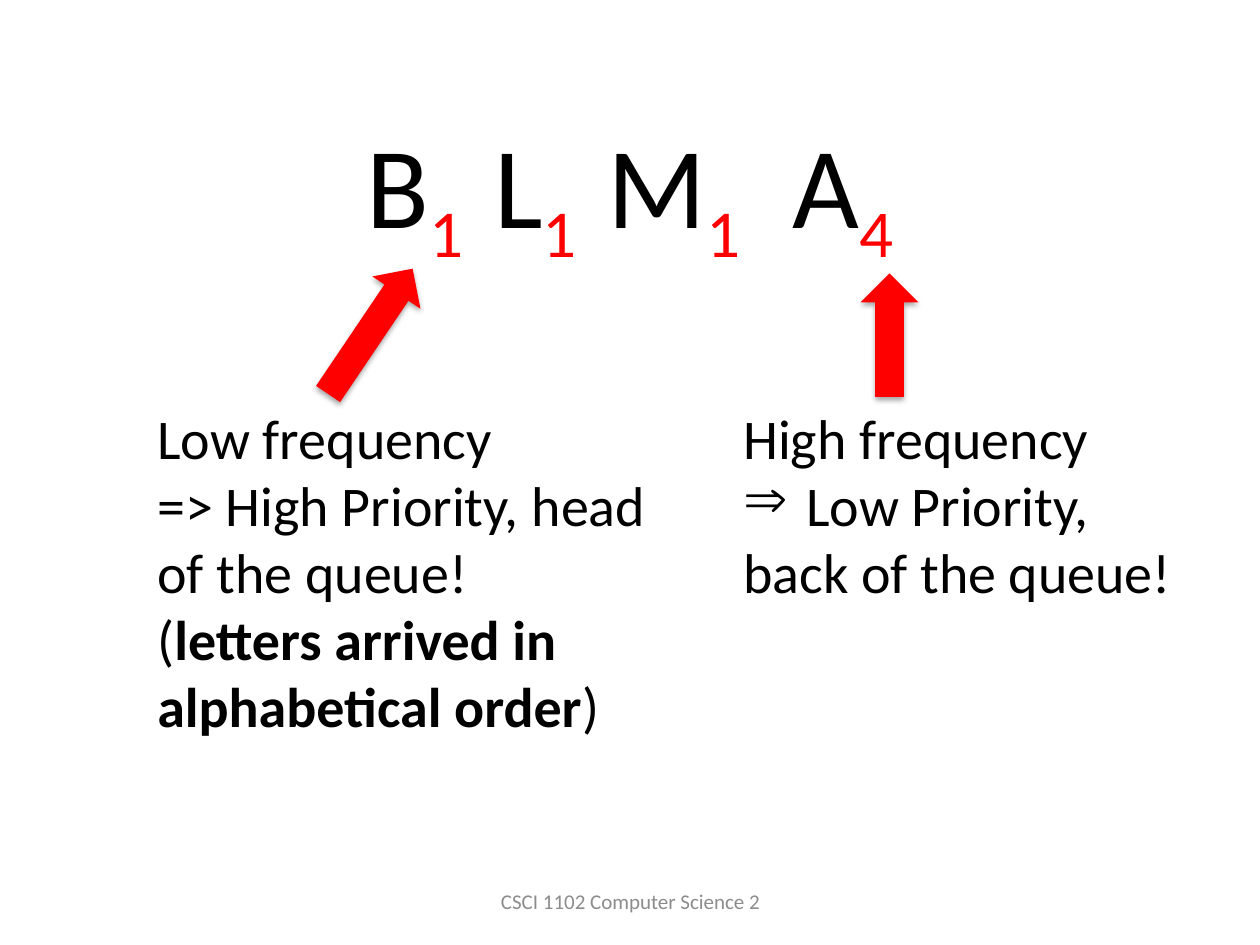
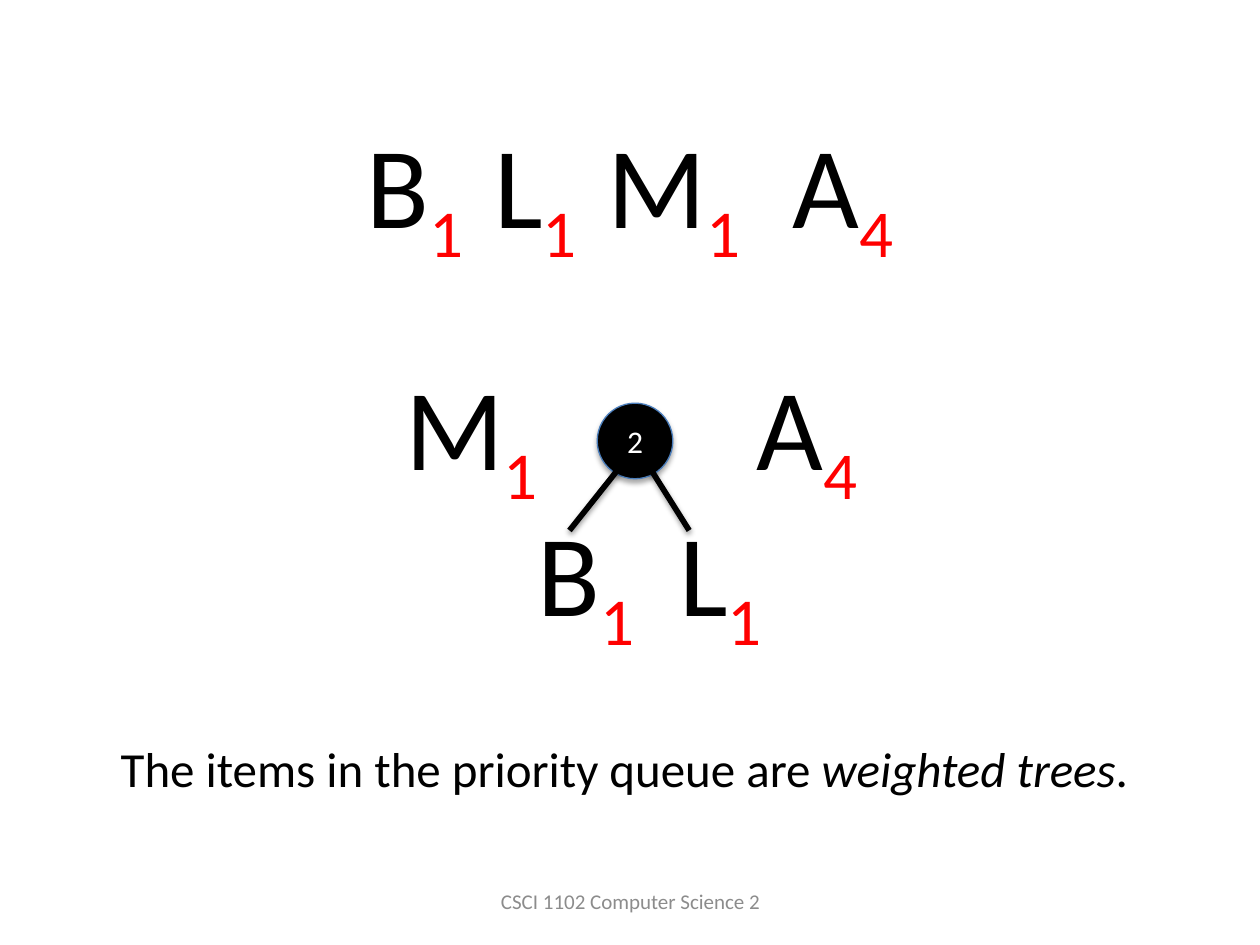
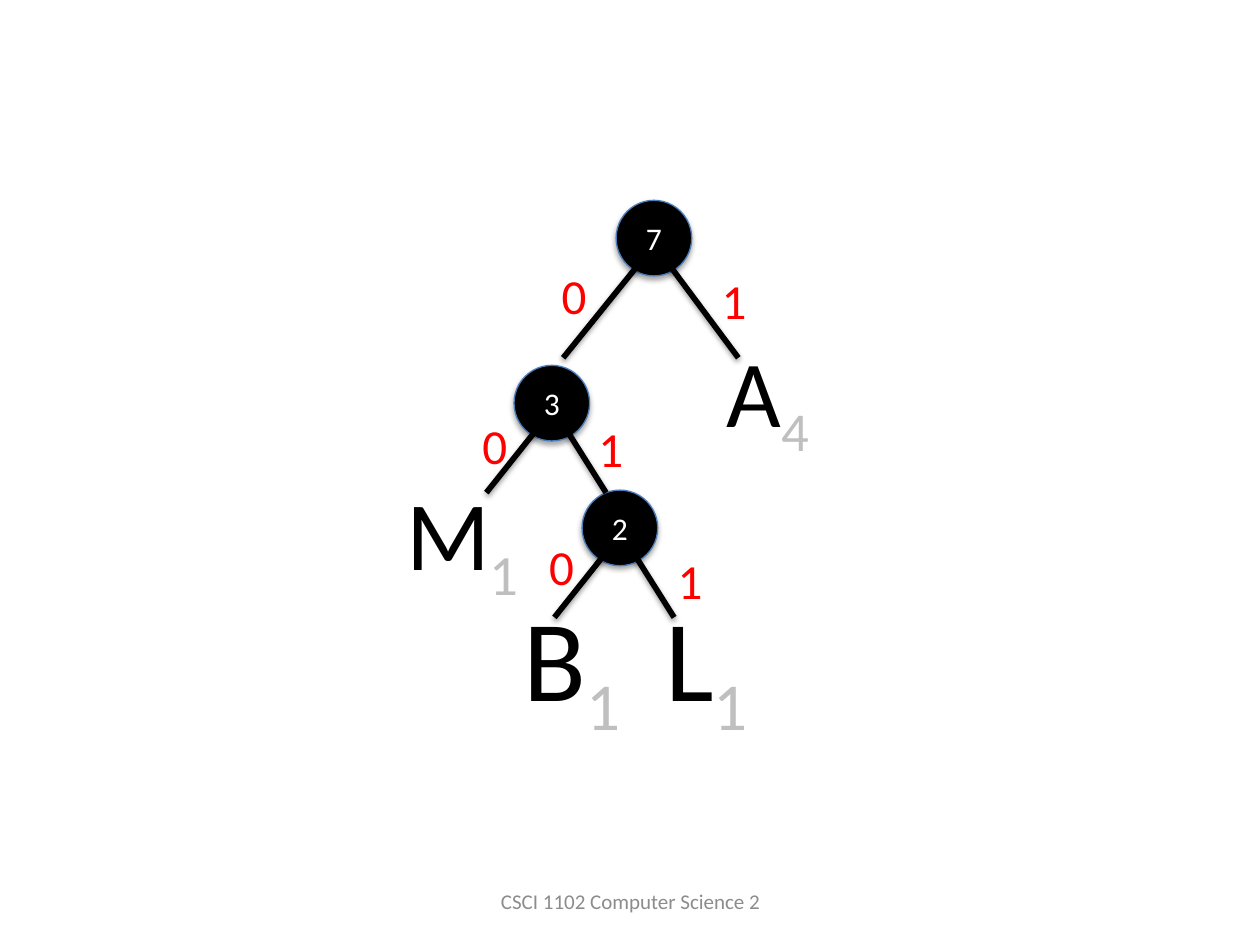
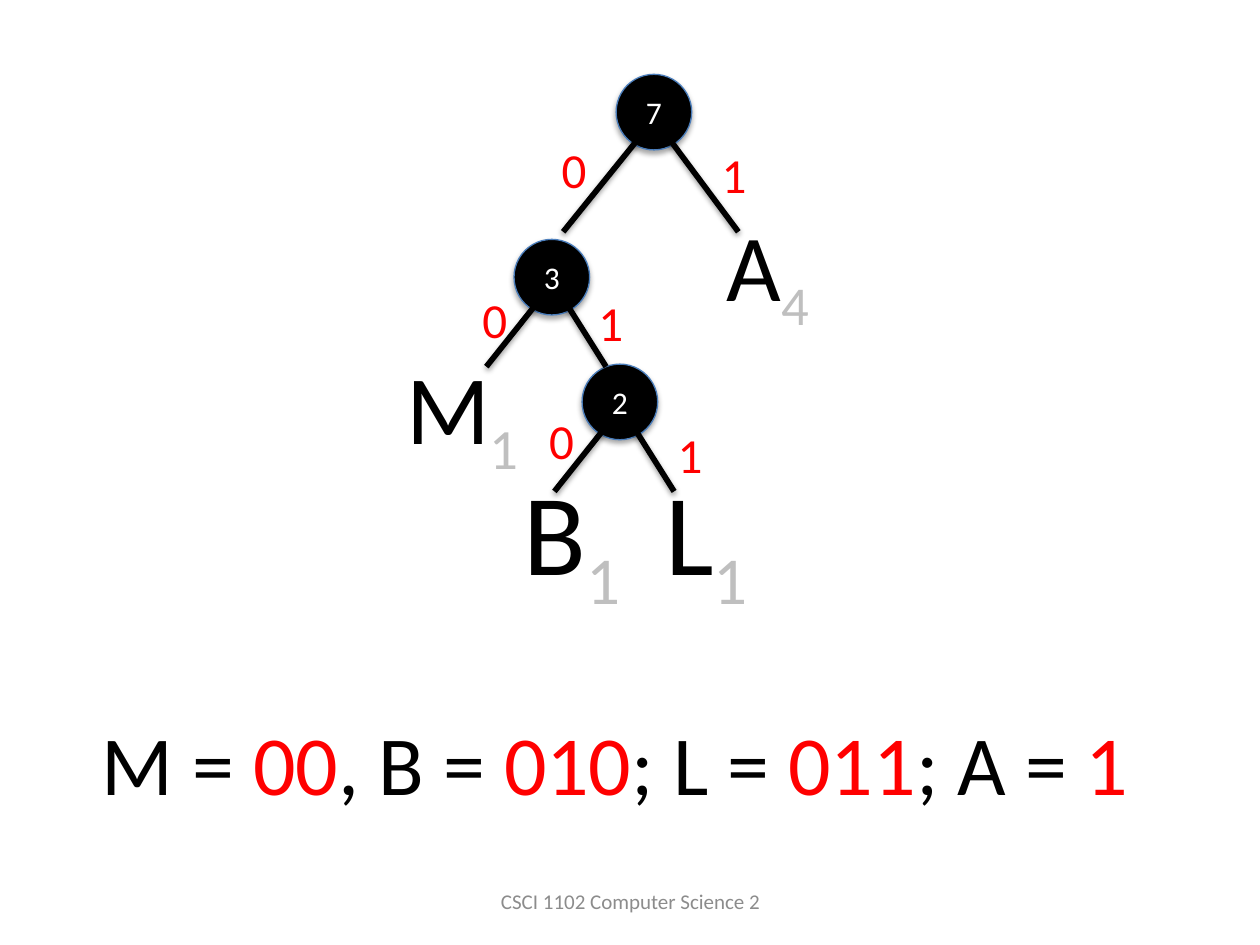
from lxml import etree
from pptx import Presentation
from pptx.dml.color import RGBColor
from pptx.enum.shapes import MSO_CONNECTOR, MSO_SHAPE
from pptx.enum.text import MSO_ANCHOR, MSO_AUTO_SIZE, PP_ALIGN
from pptx.oxml import parse_xml
from pptx.oxml.ns import nsdecls, qn
from pptx.util import Emu, Pt

PX = 9144  # 100 px to the inch
FONT = "Calibri"
COLORS = {
    "black": "000000",
    "white": "FFFFFF",
    "red": "FF0000",
    "silver": "BFBFBF",
    "footer": "8C8C8C",
    "outline": "4B7EBC",
}
LEFT, CENTER = PP_ALIGN.LEFT, PP_ALIGN.CENTER
TOP, MIDDLE = MSO_ANCHOR.TOP, MSO_ANCHOR.MIDDLE
FIT, FIXED = MSO_AUTO_SIZE.SHAPE_TO_FIT_TEXT, MSO_AUTO_SIZE.NONE
OVAL, UP_ARROW = MSO_SHAPE.OVAL, MSO_SHAPE.UP_ARROW
STRAIGHT = MSO_CONNECTOR.STRAIGHT
TITLE_ONLY, BLANK = 5, 6
TITLE_AREA = (50, 90, 900, 125)
NODE_SIZE = 60
SUBSCRIPT = {"baseline": -25000}


def px(*lengths):
    return [Emu(length * PX) for length in lengths]


def rgb(color):
    return RGBColor.from_string(COLORS[color])


# --- Text ---

def run(text, color="black", xml=None, **formats):
    return {"text": text, "color": color, "xml": xml or {}, "formats": formats}


def weighted(letter, weight, color="red"):
    return [run(letter), run(str(weight), color, SUBSCRIPT)]


def gap(points, xml=None):
    """One space, widened by the given points."""
    return [run(" ", xml={**(xml or {}), "spc": points * 100})]


def write(frame, paragraphs, size, align=LEFT, anchor=TOP, fit=FIXED, wrap=True):
    settings = {"word_wrap": wrap, "auto_size": fit, "vertical_anchor": anchor}
    for name, value in settings.items():
        setattr(frame, name, value)
    for index, runs in enumerate(paragraphs):
        para = frame.add_paragraph() if index else frame.paragraphs[0]
        para.alignment = align
        for part in runs:
            span = para.add_run()
            span.text = part["text"]
            formats = {"name": FONT, "size": Pt(size), **part["formats"]}
            for name, value in formats.items():
                setattr(span.font, name, value)
            span.font.color.rgb = rgb(part["color"])
            for name, value in part["xml"].items():
                span._r.get_or_add_rPr().set(name, str(value))


def add_text(shapes, area, paragraphs, size, **layout):
    box = shapes.add_textbox(*px(*area))
    write(box.text_frame, paragraphs, size, **layout)
    return box


def set_bullet(para, symbol, indent):
    properties = para._p.get_or_add_pPr()
    properties.set("marL", str(indent * PX))
    properties.set("indent", str(-indent * PX))
    etree.SubElement(properties, qn("a:buChar")).set("char", symbol)


# --- Shapes ---

def add_shadow(shape, distance, alpha):
    shape.element.spPr.append(parse_xml(
        f'<a:effectLst {nsdecls("a")}>'
        f'<a:outerShdw blurRad="40000" dist="{distance}" dir="5400000" rotWithShape="0">'
        f'<a:srgbClr val="{COLORS["black"]}"><a:alpha val="{alpha * 1000}"/></a:srgbClr>'
        '</a:outerShdw></a:effectLst>'))


def add_solid(shapes, kind, area, fill, outline=None):
    shape = shapes.add_shape(kind, *px(*area))
    shape.fill.solid()
    shape.fill.fore_color.rgb = rgb(fill)
    if outline:
        shape.line.color.rgb = rgb(outline)
        shape.line.width = Pt(0.75)
    else:
        shape.line.fill.background()
    add_shadow(shape, 23000, 35)
    return shape


def add_branch(shapes, start, end):
    branch = shapes.add_connector(STRAIGHT, *px(*start, *end))
    branch.line.color.rgb = rgb("black")
    branch.line.width = Pt(3.25)
    add_shadow(branch, 20000, 38)


def add_node(shapes, left, top, weight, drop=101, reach=(-22, 73)):
    """A round node and its two branches, measured from the node's corner."""
    node = add_solid(shapes, OVAL, (left, top, NODE_SIZE, NODE_SIZE), "black", "outline")
    write(node.text_frame, [[run(str(weight), "white")]], 18, align=CENTER, anchor=MIDDLE)
    for (across, down), end in zip(((25, 42), (39, 47)), reach):
        add_branch(shapes, (left + across, top + down), (left + end, top + drop))


def add_leaves(shapes, area, runs, size=66):
    add_text(shapes, area, [runs], size, align=CENTER, anchor=MIDDLE)


def leaf_pair(color):
    return weighted("B", 1, color) + gap(17, SUBSCRIPT) + weighted("L", 1, color)


# --- Slide parts ---

def add_slide(deck, layout):
    slide = deck.slides.add_slide(deck.slide_layouts[layout])
    add_text(slide.shapes, (342, 695, 317, 40),
             [[run("CSCI 1102 Computer Science 2", "footer")]], 12,
             align=CENTER, anchor=MIDDLE)
    return slide


def add_queue_slide(deck):
    slide = add_slide(deck, TITLE_ONLY)
    title = slide.shapes.title
    title.left, title.top, title.width, title.height = px(*TITLE_AREA)
    queue = (weighted("B", 1) + gap(9, SUBSCRIPT) + weighted("L", 1)
             + gap(9, SUBSCRIPT) + weighted("M", 1) + gap(15) + weighted("A", 4))
    write(title.text_frame, [queue], 66, align=CENTER, anchor=MIDDLE)
    return slide


def add_code_tree(slide, top):
    shapes = slide.shapes.add_group_shape().shapes
    add_node(shapes, 462, top + 230, 2)
    add_leaves(shapes, (307, top + 207, 120, 125), weighted("M", 1, "silver"), 56)
    add_leaves(shapes, (364, top + 261, 281, 216), leaf_pair("silver"))
    add_node(shapes, 408, top + 131, 3)
    add_leaves(shapes, (516, top + 94, 187, 125), weighted("A", 4, "silver"), 54)
    add_node(shapes, 489, top, 7, drop=125, reach=(-42, 97))
    bits = [("0", 436, 47), ("1", 563, 51), ("0", 373, 166),
            ("0", 426, 262), ("1", 528, 273), ("1", 465, 168)]
    for bit, left, down in bits:
        add_text(shapes, (left, top + down, 40, 57), [[run(bit, "red")]], 28,
                 fit=FIT, wrap=False)


# --- Slides ---

def priority_slide(deck):
    shapes = add_queue_slide(deck).shapes
    add_text(shapes, (115, 315, 409, 279), [
        [run("Low frequency")],
        [run("=> High Priority, head of the queue!")],
        [run("("), run("letters arrived in", bold=True)],
        [run("alphabetical order", bold=True), run(")")],
    ], 32, fit=FIT)
    high = add_text(shapes, (580, 315, 364, 172), [
        [run("High frequency")],
        [run("Low Priority,")],
        [run("back of the queue!")],
    ], 32, fit=FIT, wrap=False)
    set_bullet(high.text_frame.paragraphs[1], "⇒", 50)
    head_arrow = add_solid(shapes, UP_ARROW, (271, 203, 46, 120), "red")
    head_arrow.rotation = 34
    add_solid(shapes, UP_ARROW, (683, 217, 46, 98), "red")


def weighted_trees_slide(deck):
    slide = add_queue_slide(deck)
    shapes = slide.shapes.add_group_shape().shapes
    add_leaves(shapes, (51, 282, 900, 125),
               weighted("M", 1) + gap(110) + weighted("A", 4))
    add_leaves(shapes, (375, 352, 281, 216), leaf_pair("red"))
    add_node(shapes, 474, 320, 2)
    add_text(slide.shapes, (86, 581, 828, 57), [[
        run("The items in the priority queue are "),
        run("weighted trees", italic=True),
        run("."),
    ]], 28, fit=FIT)


def code_tree_slide(deck):
    add_code_tree(add_slide(deck, BLANK), 159)


def codes_slide(deck):
    slide = add_slide(deck, BLANK)
    add_code_tree(slide, 59)
    codes = [("M = ", "00"), (", B = ", "010"), ("; L = ", "011"), ("; A = ", "1")]
    runs = [part for label, code in codes for part in (run(label), run(code, "red"))]
    add_text(slide.shapes, (71, 560, 844, 91), [runs], 48, fit=FIT, wrap=False)


def main():
    deck = Presentation()
    deck.slide_width, deck.slide_height = px(1000, 750)
    priority_slide(deck)
    weighted_trees_slide(deck)
    code_tree_slide(deck)
    codes_slide(deck)
    deck.save("out.pptx")


if __name__ == "__main__":
    main()
